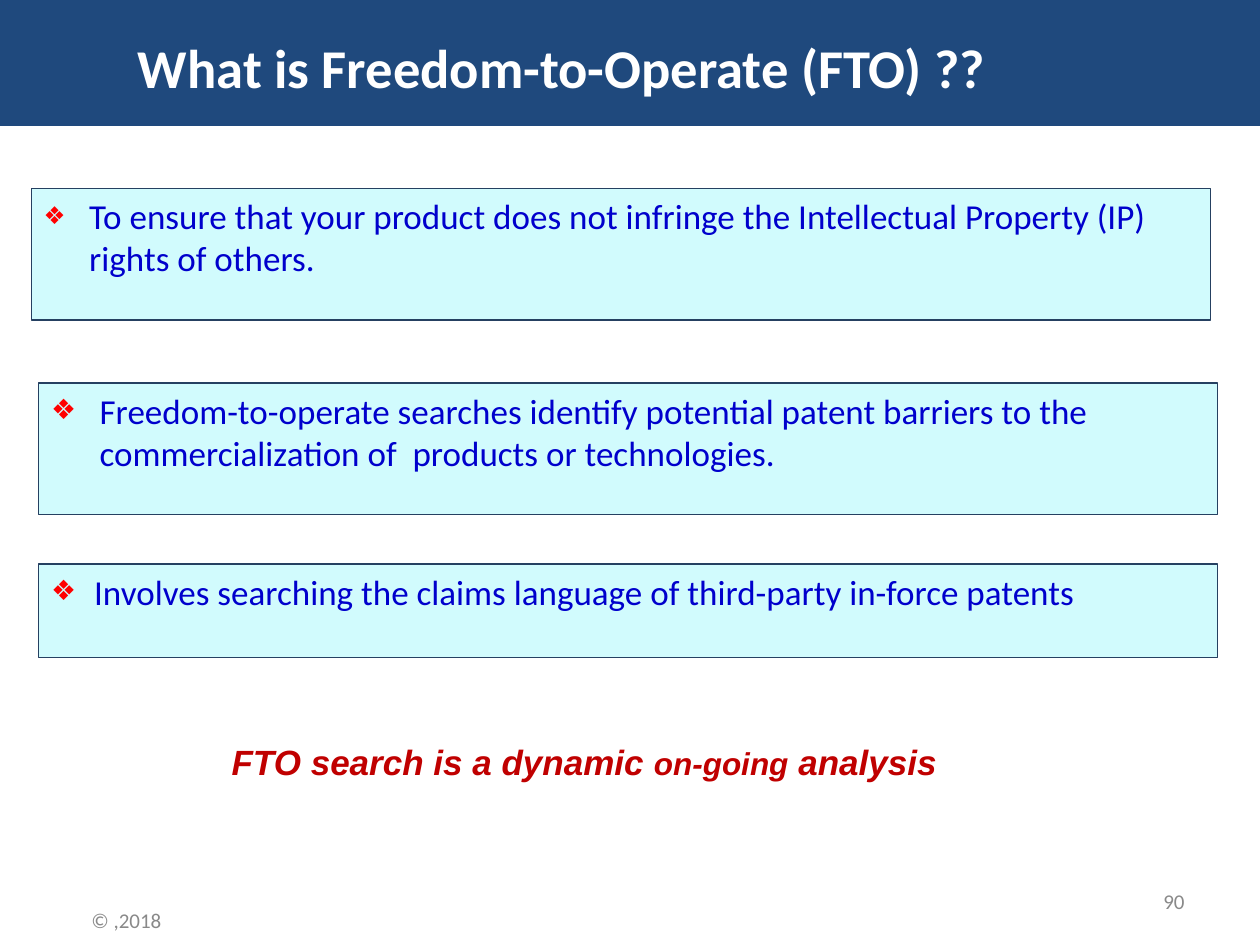
from lxml.etree import SubElement
from pptx import Presentation
from pptx.dml.color import RGBColor
from pptx.enum.shapes import MSO_SHAPE
from pptx.enum.text import MSO_ANCHOR, MSO_AUTO_SIZE, PP_ALIGN
from pptx.oxml.ns import qn
from pptx.util import Cm, Pt


def paint(color_format, value):
    color_format.rgb = RGBColor.from_string(value)


def fill_with(shape, value):
    shape.fill.solid()
    paint(shape.fill.fore_color, value)


def style(font, name, size, color, bold=False, italic=False):
    font.name = name
    font.size = Pt(size)
    font.bold = bold
    font.italic = italic
    paint(font.color, color)


def add_bullet(paragraph, indent, percent):
    properties = paragraph._p.get_or_add_pPr()
    properties.set("marL", str(Cm(indent)))
    properties.set("indent", str(-Cm(indent)))
    color = SubElement(properties, qn("a:buClr"))
    SubElement(color, qn("a:srgbClr"), val="FF0000")
    SubElement(properties, qn("a:buSzPct"), val=str(percent * 1000))
    SubElement(properties, qn("a:buFont"), typeface="Arial")
    SubElement(properties, qn("a:buChar"), char="❖")


def place_title(page, left, top, width, height):
    title = page.shapes.title
    title.left, title.top, title.width, title.height = map(Cm, (left, top, width, height))
    fill_with(title, "1F497D")
    frame = title.text_frame
    frame.text = "What is Freedom-to-Operate (FTO) ??"
    frame.auto_size = MSO_AUTO_SIZE.NONE
    frame.vertical_anchor = MSO_ANCHOR.MIDDLE
    frame.margin_left = Cm(2.78)
    frame.margin_top = Cm(0.27)
    paragraph = frame.paragraphs[0]
    paragraph.alignment = PP_ALIGN.LEFT
    style(paragraph.runs[0].font, "Calibri", 31.2, "FFFFFF", bold=True)


def place_point(page, left, top, width, height, text, indent, percent):
    box = page.shapes.add_shape(MSO_SHAPE.RECTANGLE, *map(Cm, (left, top, width, height)))
    box.shadow.inherit = False
    fill_with(box, "D1FBFD")
    paint(box.line.color, "254061")
    box.line.width = Pt(0.75)
    frame = box.text_frame
    frame.text = text
    frame.word_wrap = True
    frame.vertical_anchor = MSO_ANCHOR.TOP
    paragraph = frame.paragraphs[0]
    paragraph.alignment = PP_ALIGN.LEFT
    add_bullet(paragraph, indent, percent)
    style(paragraph.runs[0].font, "Calibri", 20, "0000CC")


def place_conclusion(page, left, top, width, height):
    box = page.shapes.add_textbox(*map(Cm, (left, top, width, height)))
    box.text_frame.word_wrap = False
    paragraph = box.text_frame.paragraphs[0]
    for text, size in (("FTO search is a dynamic ", 20), ("on-going", 18), (" analysis", 20)):
        span = paragraph.add_run()
        span.text = text
        style(span.font, "Arial", size, "C00000", bold=True, italic=True)


def place_footer(page, left, top, width, height, text, alignment):
    box = page.shapes.add_textbox(*map(Cm, (left, top, width, height)))
    frame = box.text_frame
    frame.text = text
    frame.word_wrap = True
    frame.vertical_anchor = MSO_ANCHOR.MIDDLE
    paragraph = frame.paragraphs[0]
    paragraph.alignment = alignment
    style(paragraph.runs[0].font, "Calibri", 12, "898989")


def main():
    deck = Presentation()
    deck.slide_width, deck.slide_height = Cm(25.4), Cm(19.05)
    page = deck.slides.add_slide(deck.slide_layouts[5])

    place_title(page, 0, 0, 25.4, 2.54)
    points = (
        (0.63, 3.8, 2.65, 0.92, 70,
         "To ensure that your product does not infringe the Intellectual Property (IP) "
         "rights of others."),
        (0.78, 7.72, 2.65, 0.98, 80,
         "Freedom-to-operate searches identify potential patent barriers to the "
         "commercialization of  products or technologies."),
        (0.78, 11.37, 1.88, 0.87, 80,
         "Involves searching the claims language of third-party in-force patents"),
    )
    for left, top, height, indent, percent, text in points:
        place_point(page, left, top, 23.77, height, text, indent, percent)
    place_conclusion(page, 4.42, 14.8, 14.83, 1.12)
    place_footer(page, 0.55, 18.03, 4, 1.02, "© ,2018", PP_ALIGN.CENTER)
    place_footer(page, 18.2, 17.65, 5.93, 1.02, "90", PP_ALIGN.RIGHT)

    deck.save("out.pptx")


if __name__ == "__main__":
    main()
